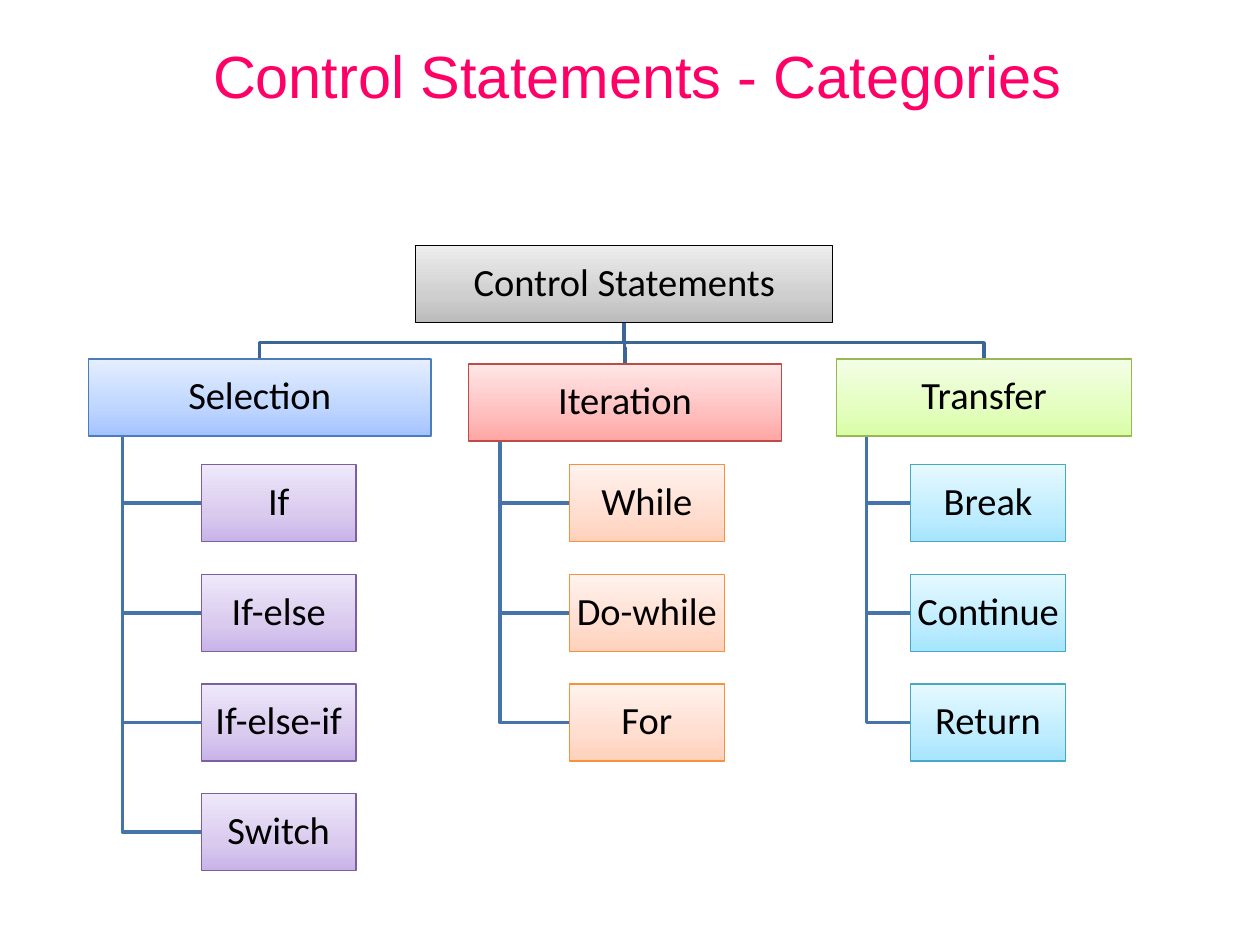
from copy import deepcopy

from pptx import Presentation
from pptx.dml.color import RGBColor
from pptx.enum.shapes import MSO_SHAPE
from pptx.enum.text import MSO_ANCHOR, PP_ALIGN
from pptx.oxml.ns import qn
from pptx.util import Cm, Pt

PINK = RGBColor(0xFF, 0x00, 0x66)
BLACK = RGBColor(0x00, 0x00, 0x00)
ROOT_LINK = RGBColor(0x3B, 0x66, 0x96)
LEAF_LINK = RGBColor(0x46, 0x73, 0xAA)


def palette(line, *stops):
    """Outline colour, then the gradient colours from bottom to top."""
    return [RGBColor.from_string(c) for c in (line, *stops)]


GREY = palette("000000", "BBBBBB", "CFCFCF", "EDEDED")
BLUE = palette("4A7DBA", "A3C2FF", "BDD5FF", "E5EEFF")
PURPLE = palette("7C5F9F", "C8B3E9", "D9CAEE", "EFE8FA")
RED = palette("BD4B48", "FFA5A3", "FFBEBE", "FFE6E6")
ORANGE = palette("F5913F", "FFD1BB", "FFDDCF", "FFF2ED")
GREEN = palette("97B853", "D9FDA5", "E3FEBF", "F4FEE6")
CYAN = palette("46A9C4", "A6E4FF", "BFEDFF", "E6F9FF")

# All positions are in centimetres
BOX_H = 1.55
ROOT_X, ROOT_Y, ROOT_W = 8.38, 4.95, 8.41
LEAF_W, LEAF_Y, LEAF_STEP = 3.12, 9.37, 2.21
BUS_GAP = 0.33

# name, left, top, width, colours, leaf left, leaf colours, leaves
CATEGORIES = [
    ("Selection", 1.78, 7.24, 6.91, BLUE, 4.06, PURPLE,
     ["If", "If-else", "If-else-if", "Switch"]),
    ("Iteration", 9.45, 7.34, 6.3, RED, 11.48, ORANGE,
     ["While", "Do-while", "For"]),
    ("Transfer", 16.87, 7.24, 5.94, GREEN, 18.36, CYAN,
     ["Break", "Continue ", "Return"]),
]


class TreeSlide:
    def __init__(self, slide, font="Calibri", size=Pt(22)):
        self.slide = slide
        self.font = font
        self.size = size

    def title(self, text, x, y, w, h):
        s = self.slide.shapes.title
        s.left, s.top, s.width, s.height = Cm(x), Cm(y), Cm(w), Cm(h)
        tf = s.text_frame
        tf.text = text
        tf.vertical_anchor = MSO_ANCHOR.MIDDLE
        p = tf.paragraphs[0]
        p.alignment = PP_ALIGN.LEFT
        p.line_spacing = 0.9
        p.font.name, p.font.size = "Arial", Pt(34)
        p.font.color.rgb = PINK

    def link(self, points, color):
        """Draw an open angled line through the points."""
        start, *rest = [(Cm(x), Cm(y)) for x, y in points]
        builder = self.slide.shapes.build_freeform(*start)
        builder.add_line_segments(rest, close=False)
        s = builder.convert_to_shape()
        s.shadow.inherit = False
        s.fill.background()
        s.line.color.rgb = color
        s.line.width = Pt(2)

    def box(self, text, x, y, w, colors):
        s = self.slide.shapes.add_shape(
            MSO_SHAPE.RECTANGLE, Cm(x), Cm(y), Cm(w), Cm(BOX_H))
        s.shadow.inherit = False
        line, *stops = colors
        s.line.color.rgb = line
        s.line.width = Pt(0.75)
        self.gradient(s, stops)
        tf = s.text_frame
        tf.text = text
        tf.word_wrap = True
        tf.vertical_anchor = MSO_ANCHOR.MIDDLE
        tf.margin_left = tf.margin_right = Cm(0.05)
        tf.margin_top = tf.margin_bottom = Cm(0.05)
        p = tf.paragraphs[0]
        p.alignment = PP_ALIGN.CENTER
        p.line_spacing = 0.9
        p.font.name, p.font.size = self.font, self.size
        p.font.color.rgb = BLACK

    def gradient(self, s, colors):
        s.fill.gradient()
        s.fill.gradient_angle = 90
        stop_list = s._element.spPr.find(qn("a:gradFill")).find(qn("a:gsLst"))
        stop_list.insert(1, deepcopy(stop_list[0]))
        for stop, color, position in zip(s.fill.gradient_stops, colors, (0, 0.35, 1)):
            stop.color.rgb = color
            stop.position = position


def leaf_top(row):
    return LEAF_Y + row * LEAF_STEP


def main():
    prs = Presentation()
    prs.slide_width, prs.slide_height = Cm(25.4), Cm(19.05)
    tree = TreeSlide(prs.slides.add_slide(prs.slide_layouts[5]))
    tree.title("Control Statements - Categories", 4.04, 0.03, 21.36, 3.15)

    root_mid, root_bottom = ROOT_X + ROOT_W / 2, ROOT_Y + BOX_H
    for _, x, y, w, _, leaf_x, _, leaves in reversed(CATEGORIES):
        trunk = x + w / 10
        for row in reversed(range(len(leaves))):
            leaf_mid = leaf_top(row) + BOX_H / 2
            tree.link([(trunk, y + BOX_H), (trunk, leaf_mid), (leaf_x, leaf_mid)],
                      LEAF_LINK)
        mid, bus = x + w / 2, y - BUS_GAP
        tree.link([(root_mid, root_bottom), (root_mid, bus), (mid, bus), (mid, y)],
                  ROOT_LINK)

    tree.box("Control Statements", ROOT_X, ROOT_Y, ROOT_W, GREY)
    for name, x, y, w, colors, leaf_x, leaf_colors, leaves in CATEGORIES:
        tree.box(name, x, y, w, colors)
        for row, leaf in enumerate(leaves):
            tree.box(leaf, leaf_x, leaf_top(row), LEAF_W, leaf_colors)

    prs.save("out.pptx")


if __name__ == "__main__":
    main()
